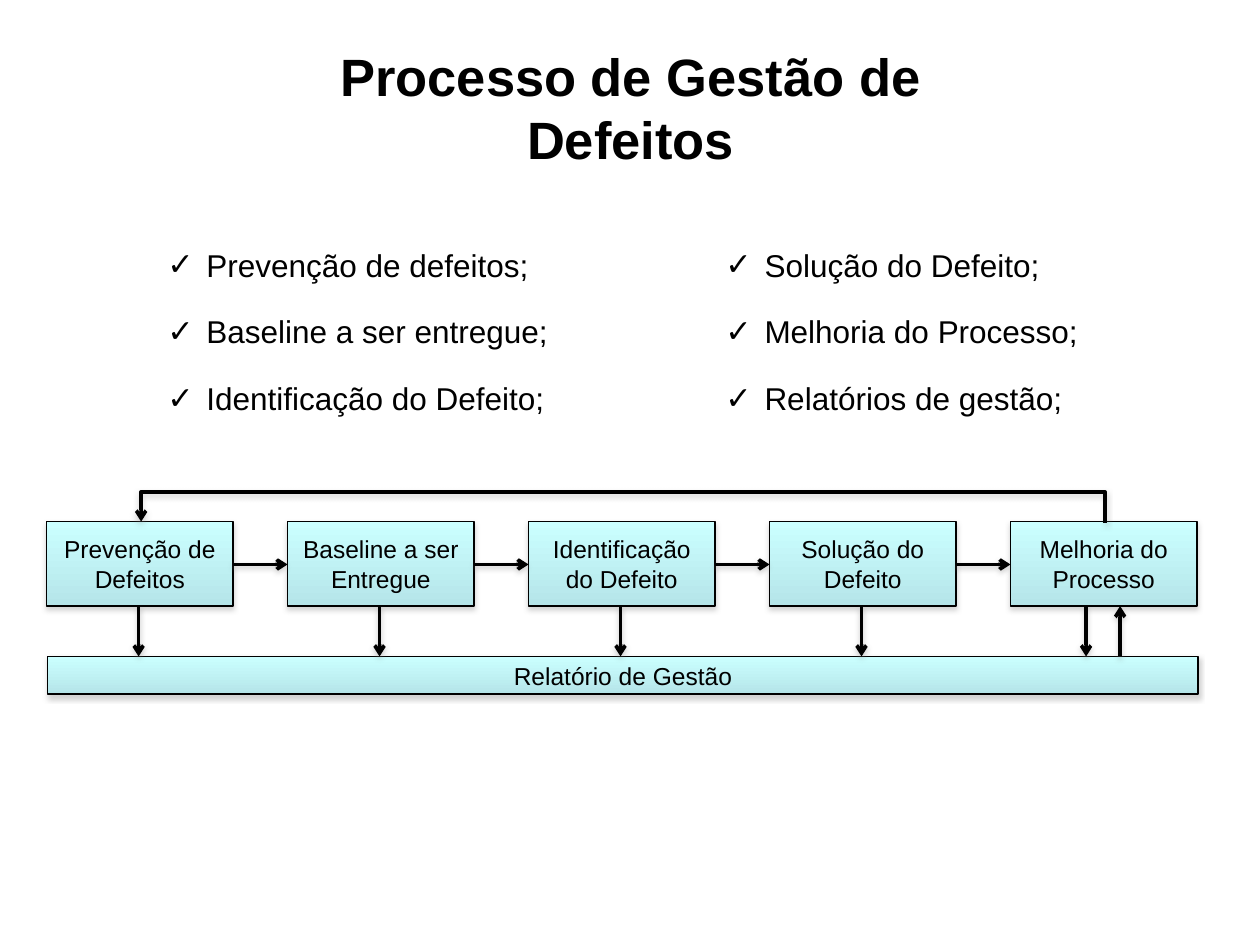
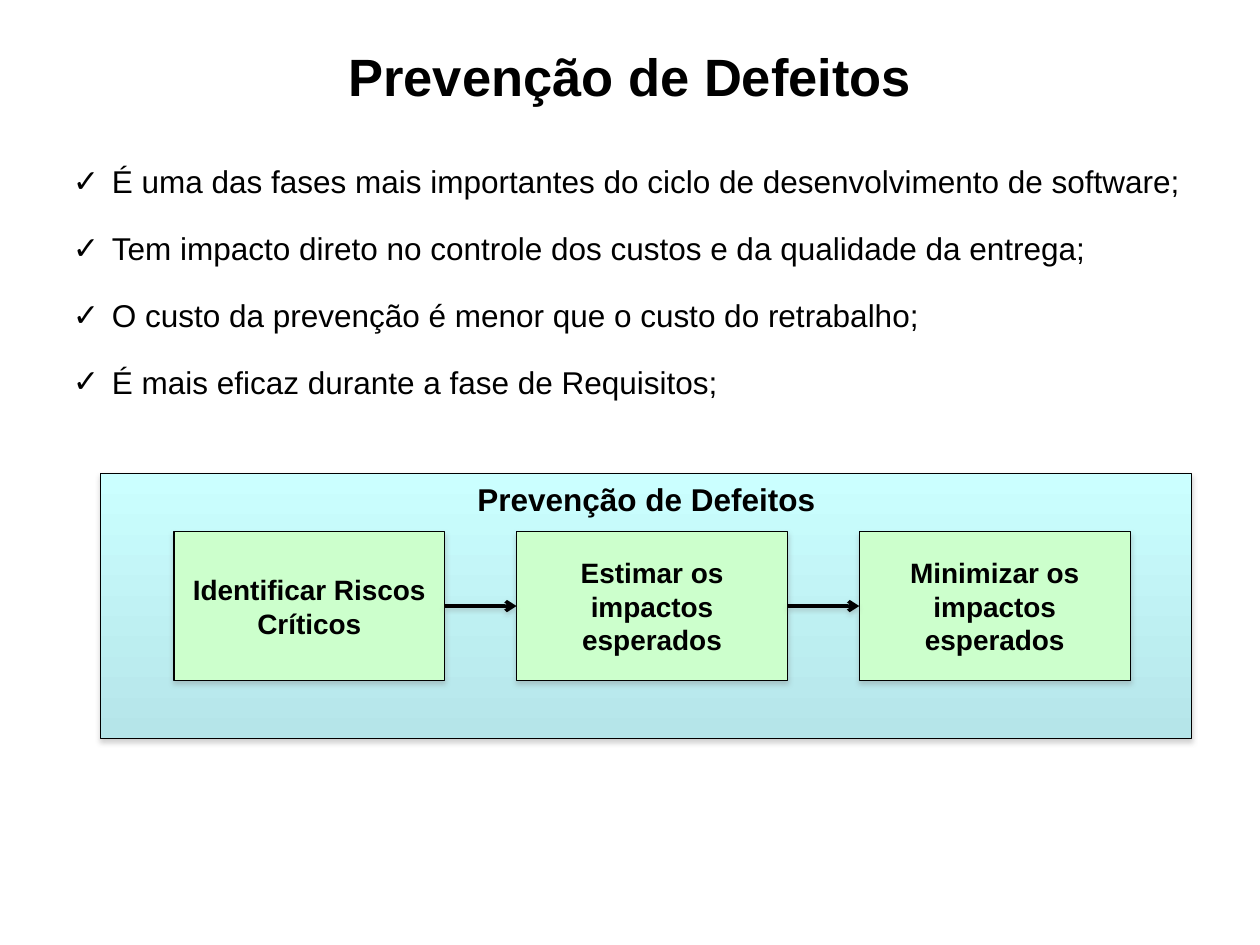
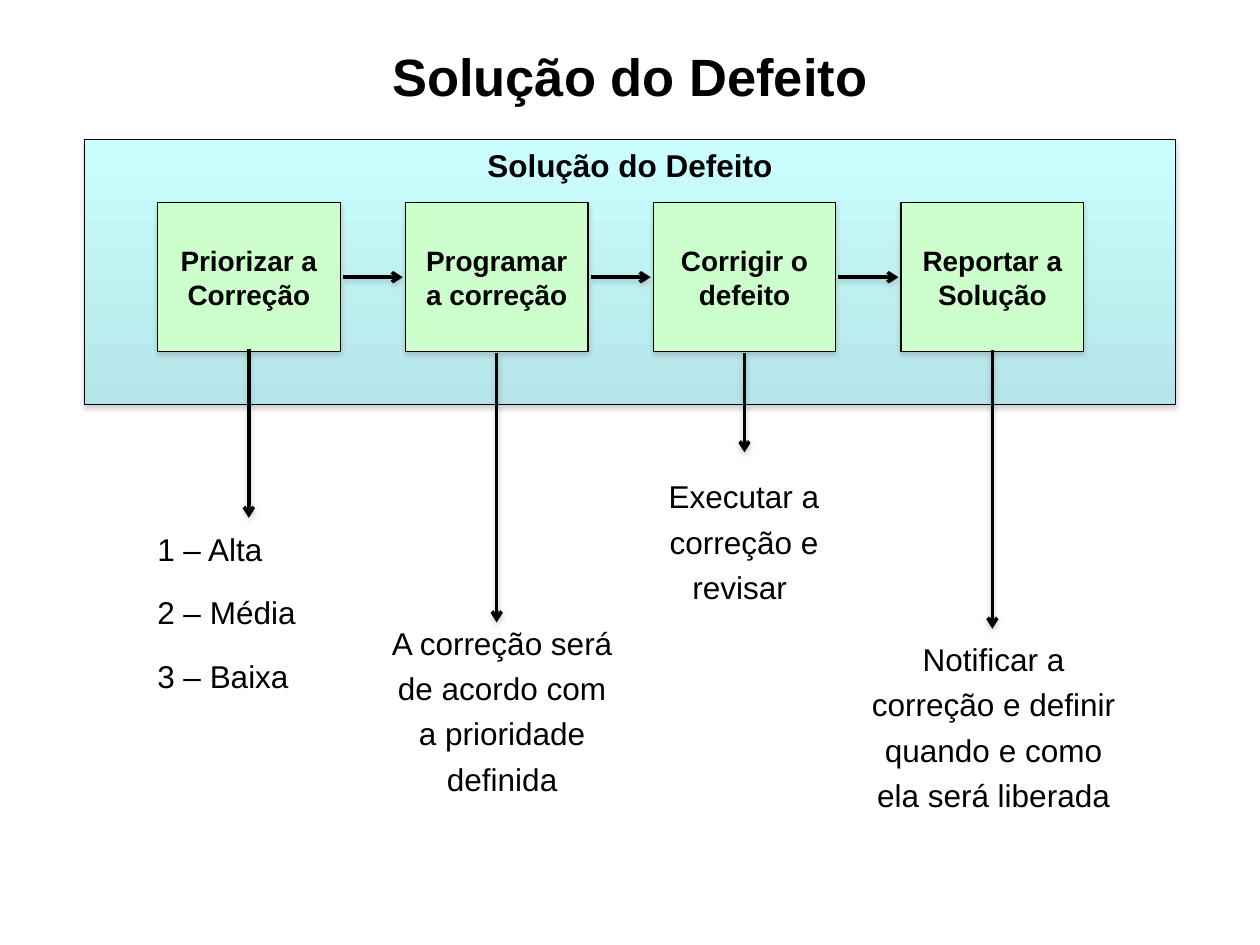
import pptx
import pptx.util
import pptx.dml.color
import pptx.enum.shapes
import pptx.enum.text
import pptx.oxml

Inches, Pt = pptx.util.Inches, pptx.util.Pt
ALIGN = pptx.enum.text.PP_ALIGN
ANCHOR = pptx.enum.text.MSO_ANCHOR
CONNECTOR = pptx.enum.shapes.MSO_CONNECTOR

# Content
PROCESS = {
    "title": "Processo de Gestão de Defeitos",
    "topics": [
        ["Prevenção de defeitos;", "Baseline a ser entregue;", "Identificação do Defeito;"],
        ["Solução do Defeito;", "Melhoria do Processo;", "Relatórios de gestão;"],
    ],
    "phases": ["Prevenção de Defeitos", "Baseline a ser Entregue", "Identificação do Defeito",
               "Solução do Defeito", "Melhoria do Processo"],
    "report": "Relatório de Gestão",
}
PREVENTION = {
    "title": "Prevenção de Defeitos",
    "topics": [
        "É uma das fases mais importantes do ciclo de desenvolvimento de software;",
        "Tem impacto direto no controle dos custos e da qualidade da entrega;",
        "O custo da prevenção é menor que o custo do retrabalho;",
        "É mais eficaz durante a fase de Requisitos;",
    ],
    "steps": ["Identificar Riscos Críticos", "Estimar os impactos esperados",
              "Minimizar os impactos esperados"],
}
# Each step: name, arrow top and bottom, note area (left, top, width, height), note lines
SOLUTION = {
    "title": "Solução do Defeito",
    "steps": [
        ("Priorizar a Correção", 2.77, 4.11, (1.15, 4.1, 1.64, 1.48),
         ["1 – Alta", "2 – Média", "3 – Baixa"]),
        ("Programar a correção", 2.8, 4.94, (2.96, 4.84, 2.05, 1.55),
         ["A correção será de acordo com a prioridade definida"]),
        ("Corrigir o defeito", 2.8, 3.59, (4.88, 3.68, 2.05, 1.18),
         ["Executar a correção e revisar "]),
        ("Reportar a Solução", 2.78, 4.99, (6.76, 4.97, 2.25, 1.55),
         ["Notificar a correção e definir quando e como ela será liberada"]),
    ],
}

# Shared look
FONT = "Arial"
COLORS = {"ink": "000000", "aqua": "CBFFFF", "teal": "B5E5E9", "green": "CCFFCC",
          "shadow": "808080"}
NS = 'xmlns:a="http://schemas.openxmlformats.org/drawingml/2006/main"'
PANEL_W, PANEL_H, STEP_H = 8.66, 2.1, 1.18


def color(name):
    return pptx.dml.color.RGBColor.from_string(COLORS[name])


def style_text(paragraph, size, bold=False, align=ALIGN.CENTER):
    paragraph.alignment = align
    for run in paragraph.runs:
        run.font.name, run.font.size, run.font.bold = FONT, Pt(size), bold
        run.font.color.rgb = color("ink")


def add_shadow(part, distance, alpha):
    part.element.spPr.append(pptx.oxml.parse_xml(
        f'<a:effectLst {NS}><a:outerShdw blurRad="{Pt(3.1)}" dist="{Pt(distance)}" '
        f'dir="5400000" rotWithShape="0"><a:srgbClr val="{COLORS["shadow"]}">'
        f'<a:alpha val="{alpha * 1000}"/></a:srgbClr></a:outerShdw></a:effectLst>'))


def add_titled_slide(deck, title, area=(0.5, 0.3, 9, 0.79)):
    slide = deck.slides.add_slide(deck.slide_layouts[5])
    heading = slide.shapes.title
    heading.left, heading.top, heading.width, heading.height = map(Inches, area)
    frame = heading.text_frame
    frame.text = title
    frame.vertical_anchor = ANCHOR.TOP
    frame.auto_size = pptx.enum.text.MSO_AUTO_SIZE.NONE
    style_text(frame.paragraphs[0], 30, bold=True)
    return slide


def add_box(slide, area, text, size, bold=False, fill=None, anchor=ANCHOR.MIDDLE):
    """Rectangle with a solid fill, or the aqua gradient when none is given."""
    box = slide.shapes.add_shape(pptx.enum.shapes.MSO_SHAPE.RECTANGLE, *map(Inches, area))
    if fill:
        box.fill.solid()
        box.fill.fore_color.rgb = color(fill)
    else:
        box.fill.gradient()
        box.fill.gradient_angle = 270
        for stop, position, name in zip(box.fill.gradient_stops, (0, 1), ("aqua", "teal")):
            stop.position, stop.color.rgb = position, color(name)
    box.line.color.rgb, box.line.width = color("ink"), Pt(0.75)
    add_shadow(box, 1.8, 35)
    frame = box.text_frame
    frame.text, frame.word_wrap, frame.vertical_anchor = text, True, anchor
    style_text(frame.paragraphs[0], size, bold)


def add_panel(slide, left, top, text):
    add_box(slide, (left, top, PANEL_W, PANEL_H), text, 18, bold=True, anchor=ANCHOR.TOP)


def add_arrow(slide, start, end, kind=CONNECTOR.STRAIGHT):
    arrow = slide.shapes.add_connector(kind, *map(Inches, start + end))
    arrow.line.color.rgb, arrow.line.width = color("ink"), Pt(2)
    arrow.line._get_or_add_ln().append(pptx.oxml.parse_xml(f'<a:tailEnd {NS} type="arrow"/>'))
    add_shadow(arrow, 1.6, 38)
    return arrow


def add_lines(slide, area, lines, spacing, align, bullet=None):
    frame = slide.shapes.add_textbox(*map(Inches, area)).text_frame
    frame.word_wrap = True
    frame.text = "\n".join(lines)
    for i, paragraph in enumerate(frame.paragraphs):
        style_text(paragraph, 18, align=align)
        paragraph.line_spacing = spacing
        paragraph.space_before = Pt(10.2 if i else 0)
        if bullet:
            props = paragraph._p.get_or_add_pPr()
            props.set("marL", str(Inches(0.31)))
            props.set("indent", str(-Inches(0.31)))
            props.append(pptx.oxml.parse_xml(f'<a:buFont {NS} typeface="Wingdings"/>'
                                             if bullet == "ü" else
                                             f'<a:buFont {NS} typeface="{FONT}"/>'))
            props.append(pptx.oxml.parse_xml(f'<a:buChar {NS} char="{bullet}"/>'))


def add_checklist(slide, area, topics):
    add_lines(slide, area, topics, 1.3, ALIGN.JUSTIFY, bullet="✓")


def build_process(deck):
    slide = add_titled_slide(deck, PROCESS["title"], (1.74, 0.3, 6.53, 0.53))
    for column, topics in enumerate(PROCESS["topics"]):
        add_checklist(slide, (1.23 + 4.43 * column, 1.81, 4.3, 1.7), topics)

    # Phases in a row, with the report bar under them
    left, top, width, height, pitch = 0.37, 4.14, 1.48, 0.67, 1.9125
    bottom, report_top = top + height, 5.21
    for i, phase in enumerate(PROCESS["phases"]):
        add_box(slide, (left + pitch * i, top, width, height), phase, 14)
    add_box(slide, (0.38, report_top, 9.13, 0.3), PROCESS["report"], 14)

    # Arrows between phases, and down to the report
    for i in range(len(PROCESS["phases"]) - 1):
        x = left + pitch * i
        add_arrow(slide, (x + width, 4.48), (x + pitch, 4.48))
        add_arrow(slide, (1.1 + pitch * i, bottom), (1.1 + pitch * i, report_top))
    add_arrow(slide, (8.62, bottom), (8.62, report_top))
    add_arrow(slide, (8.89, report_top), (8.89, bottom))

    # Return path from the last phase to the first, turned to run above the row
    feedback = add_arrow(slide, (4.94, 7.97), (4.95, 0.32), CONNECTOR.ELBOW)
    feedback.element.spPr.xfrm.set("rot", "16200000")
    feedback.adjust = None
    geometry = feedback.element.spPr.prstGeom
    geometry.get_or_add_avLst().append(
        pptx.oxml.parse_xml(f'<a:gd {NS} name="adj1" fmla="val 2500000"/>'))


def build_prevention(deck):
    slide = add_titled_slide(deck, PREVENTION["title"])
    add_checklist(slide, (0.48, 1.15, 9.05, 2.11), PREVENTION["topics"])
    add_panel(slide, 0.8, 3.76, PREVENTION["title"])
    left, top, width, pitch = 1.38, 4.22, 2.15, 2.72
    middle = top + STEP_H / 2
    for i, step in enumerate(PREVENTION["steps"]):
        x = left + pitch * i
        add_box(slide, (x, top, width, STEP_H), step, 16, bold=True, fill="green")
        if i:
            add_arrow(slide, (x - pitch + width, middle), (x, middle))


def build_solution(deck):
    slide = add_titled_slide(deck, SOLUTION["title"])
    add_panel(slide, 0.67, 1.11, SOLUTION["title"])
    left, top, width, pitch, gap = 1.25, 1.61, 1.45, 1.967, 0.02
    middle = top + STEP_H / 2
    for i, (step, start, end, note_area, note) in enumerate(SOLUTION["steps"]):
        x = left + pitch * i
        add_box(slide, (x, top, width, STEP_H), step, 16, bold=True, fill="green")
        if i:
            add_arrow(slide, (x - pitch + width + gap, middle), (x - gap, middle))
        align = ALIGN.JUSTIFY if len(note) > 1 else ALIGN.CENTER
        add_lines(slide, note_area, note, 1.2, align)
        add_arrow(slide, (x + width / 2, start), (x + width / 2, end))


def main():
    deck = pptx.Presentation()
    deck.slide_width, deck.slide_height = Inches(10), Inches(7.5)
    build_process(deck)
    build_prevention(deck)
    build_solution(deck)
    deck.save("out.pptx")


if __name__ == "__main__":
    main()
